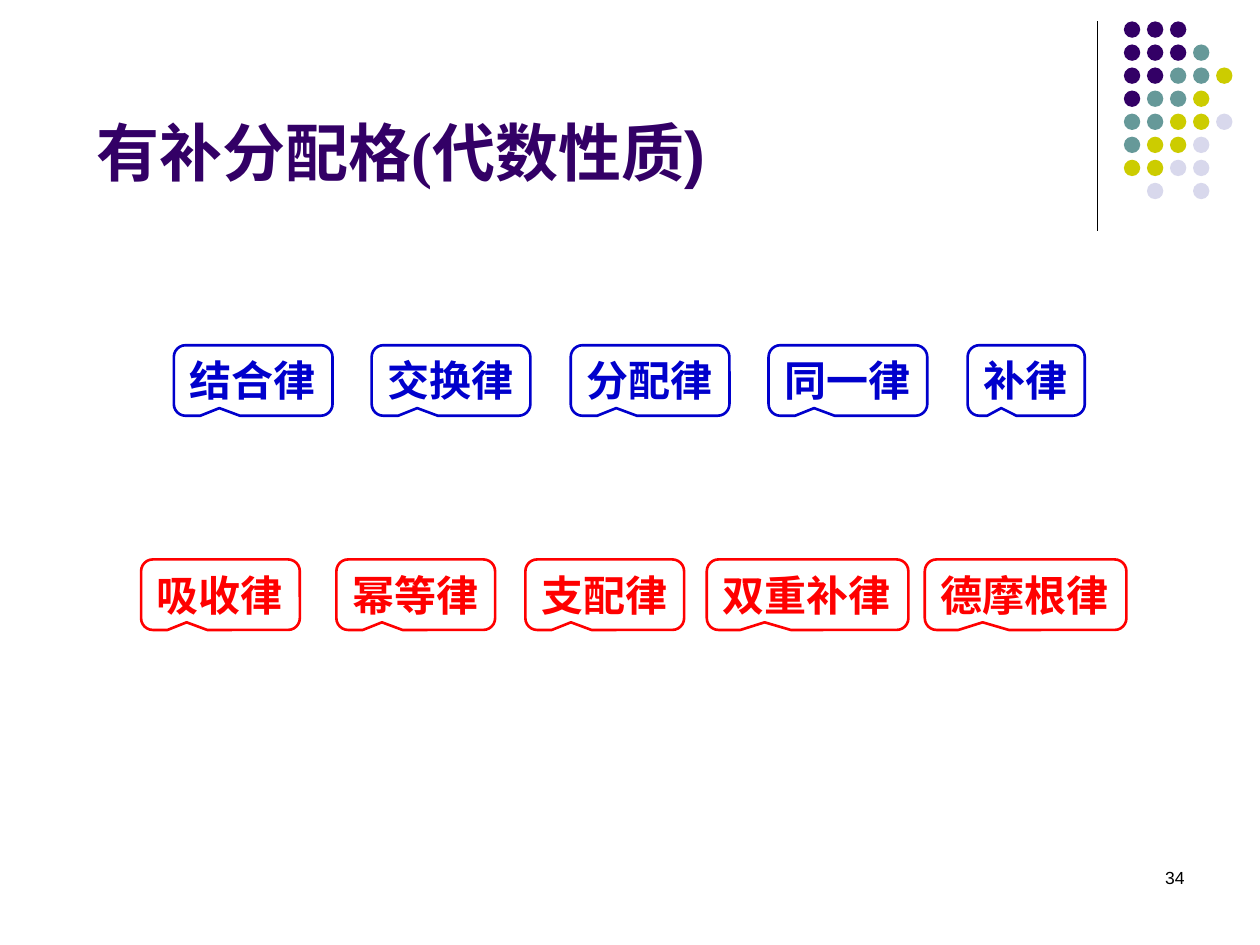
import pptx
import pptx.util
import pptx.dml.color
import pptx.enum.shapes
import pptx.enum.text
import lxml.etree

Inches, Pt = pptx.util.Inches, pptx.util.Pt
RGBColor = pptx.dml.color.RGBColor
SHAPE = pptx.enum.shapes.MSO_SHAPE
ANCHOR = pptx.enum.text.MSO_ANCHOR
ALIGN = pptx.enum.text.PP_ALIGN
AUTO = pptx.enum.text.MSO_AUTO_SIZE

PURPLE = RGBColor(0x33, 0x00, 0x66)
TEAL = RGBColor(0x66, 0x99, 0x99)
OLIVE = RGBColor(0xCC, 0xCC, 0x00)
LILAC = RGBColor(0xD8, 0xD8, 0xEC)
BLUE = RGBColor(0x00, 0x00, 0xCC)
RED = RGBColor(0xFF, 0x00, 0x00)
BLACK = RGBColor(0x00, 0x00, 0x00)

# Content
TITLE = [("有补分配格(代数".replace("(", "("), "Times New Roman"), ("性质)", "Arial")]
LAW_ROWS = [
    (2.74, BLUE, [("结合律", 1.38), ("交换律", 2.95), ("分配律", 4.53),
                  ("同一律", 6.1), ("补律", 7.68)]),
    (4.44, RED, [("吸收律", 1.12), ("幂等律", 2.67), ("支配律", 4.17),
                 ("双重补律", 5.61), ("德摩根律", 7.34)]),
]
LAW_WIDTHS = {2: 0.93, 3: 1.26, 4: 1.6}  # by number of characters
DOT_COLOURS = {"P": PURPLE, "T": TEAL, "O": OLIVE, "L": LILAC}
DOT_ROWS = ["PPP", "PPPT", "PPTTO", "PTTO", "TTOOL", "TOOL", "OOLL", " L L"]
DOT_LEFT, DOT_TOP, DOT_STEP, DOT_SIZE = 8.92, 0.17, 0.183, 0.13

deck = pptx.Presentation()
deck.slide_width, deck.slide_height = Inches(10), Inches(7.5)
page = deck.slides.add_slide(deck.slide_layouts[6])


def format_span(span, size, colour, font="Arial", bold=False):
    span.font.size, span.font.name, span.font.bold = Pt(size), font, bold
    span.font.color.rgb = colour


def add_text_box(left, top, width, height):
    box = page.shapes.add_textbox(*map(Inches, (left, top, width, height)))
    box.text_frame.word_wrap = True
    return box.text_frame


def add_law(text, left, top, colour):
    box = page.shapes.add_shape(SHAPE.ROUNDED_RECTANGULAR_CALLOUT, Inches(left),
                                Inches(top), Inches(LAW_WIDTHS[len(text)]), Inches(0.56))
    for index, value in enumerate((-0.213, 0.392, 0.167)):
        box.adjustments[index] = value
    box.shadow.inherit = False
    box.fill.background()
    box.line.color.rgb, box.line.width = colour, Pt(1.5)
    frame = box.text_frame
    frame.text = text
    frame.word_wrap = False
    frame.auto_size = AUTO.SHAPE_TO_FIT_TEXT
    frame.vertical_anchor = ANCHOR.TOP
    para = frame.paragraphs[0]
    para.alignment = ALIGN.LEFT
    format_span(para.runs[0], 24, colour, bold=True)


# Corner rule
rule = page.shapes.add_connector(pptx.enum.shapes.MSO_CONNECTOR.STRAIGHT,
                                 Inches(8.71), Inches(0.17), Inches(8.71), Inches(1.83))
rule.line.color.rgb, rule.line.width = BLACK, Pt(0.75)
lxml.etree.SubElement(rule._element.spPr, pptx.oxml.ns.qn("a:effectLst"))

# Corner dots
for row, keys in enumerate(DOT_ROWS):
    for column, key in enumerate(keys):
        if key in DOT_COLOURS:
            dot = page.shapes.add_shape(
                SHAPE.OVAL, Inches(DOT_LEFT + column * DOT_STEP),
                Inches(DOT_TOP + row * DOT_STEP), Inches(DOT_SIZE), Inches(DOT_SIZE))
            dot.shadow.inherit = False
            dot.fill.solid()
            dot.fill.fore_color.rgb = DOT_COLOURS[key]
            dot.line.fill.background()

# Title
title = add_text_box(0.67, 0.36, 8.08, 1.19)
title.vertical_anchor = ANCHOR.BOTTOM
for text, font in TITLE:
    span = title.paragraphs[0].add_run()
    span.text = text.replace(")", ")")
    format_span(span, 36, PURPLE, font, True)

# Laws
for top, colour, laws in LAW_ROWS:
    for text, left in laws:
        add_law(text, left, top, colour)

# Page number
number = add_text_box(7.17, 6.83, 2.33, 0.5)
number.text = "34"
number.paragraphs[0].alignment = ALIGN.RIGHT
format_span(number.paragraphs[0].runs[0], 10, BLACK)

deck.save("out.pptx")
